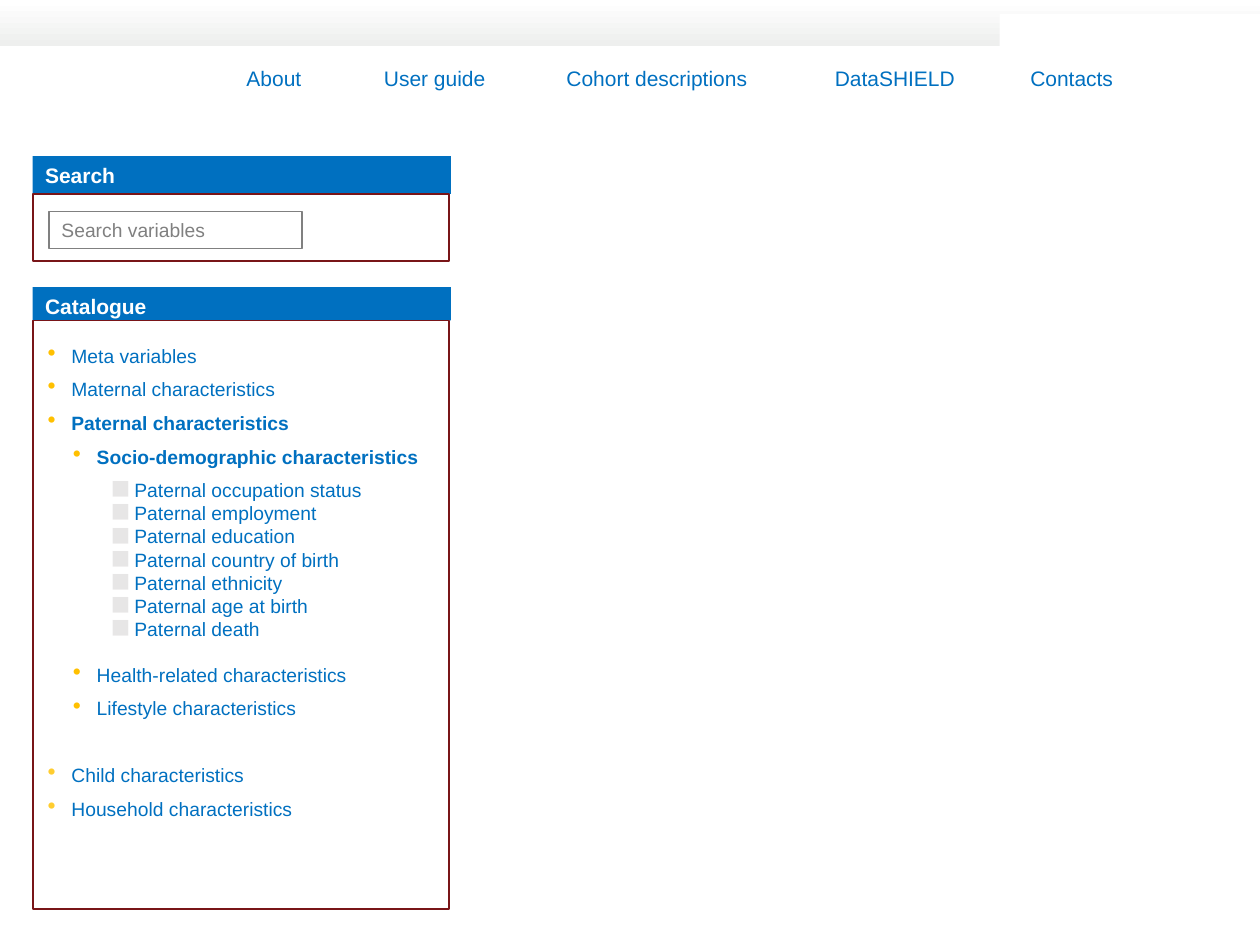
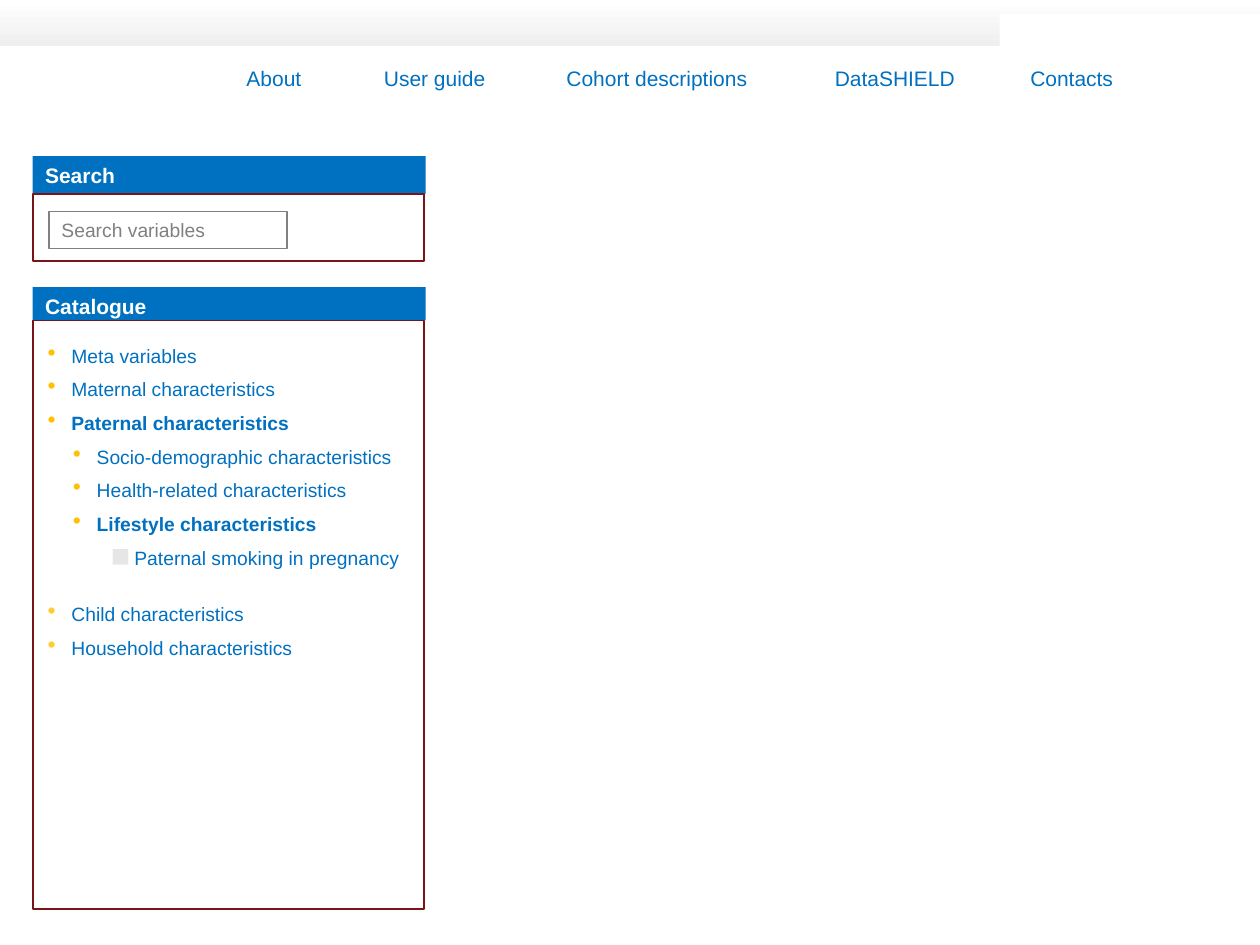
from lxml import etree
from pptx import Presentation
from pptx.dml.color import RGBColor
from pptx.enum.shapes import MSO_SHAPE
from pptx.enum.text import MSO_ANCHOR, PP_ALIGN
from pptx.oxml.ns import qn
from pptx.util import Cm, Pt

RECT, TOP_SIDE, LEFT_SIDE = MSO_SHAPE.RECTANGLE, MSO_ANCHOR.TOP, PP_ALIGN.LEFT
FONT = "Arial"
BLUE = RGBColor(0x00, 0x70, 0xC0)
WHITE = RGBColor(0xFF, 0xFF, 0xFF)
SILVER = RGBColor(0xEE, 0xEF, 0xEE)
MAROON = RGBColor(0x79, 0x15, 0x18)
GREY = RGBColor(0x80, 0x80, 0x80)
GOLD = RGBColor(0xFF, 0xC0, 0x00)
PALE_GOLD = RGBColor(0xFF, 0xCD, 0x2F)
PALE_GREY = RGBColor(0xE7, 0xE6, 0xE6)

MENU = ["About", "User guide", "Cohort descriptions", "DataSHIELD", "Contacts"]
MENU_TABS = [2.77, 6.45, 11.86, 15.8]

# level: indent in cm, space after in pt, bullet, bullet colour
LEVELS = {
    "top": (0.48, 6, "•", GOLD),
    "sub": (0.99, 6, "•", GOLD),
    "leaf": (1.75, 0, "◼", PALE_GREY),
    "end": (0.48, 6, "•", PALE_GOLD),
}
HANG = 0.48
SUB_GAP, TOP_GAP = 13, 19

# level, text, bold
HEAD = [
    ("top", "Meta variables", False),
    ("top", "Maternal characteristics", False),
    ("top", "Paternal characteristics", True),
]
TAIL = [
    ("end", "Child characteristics", False),
    ("end", "Household characteristics", False),
]
SOCIAL = [
    ("sub", "Socio-demographic characteristics", True),
    ("leaf", "Paternal occupation status", False),
    ("leaf", "Paternal employment", False),
    ("leaf", "Paternal education", False),
    ("leaf", "Paternal country of birth", False),
    ("leaf", "Paternal ethnicity", False),
    ("leaf", "Paternal age at birth", False),
    ("leaf", "Paternal death", False),
    ("sub", "Health-related characteristics", False),
    ("sub", "Lifestyle characteristics", False),
]
HABITS = [
    ("sub", "Socio-demographic characteristics", False),
    ("sub", "Health-related characteristics", False),
    ("sub", "Lifestyle characteristics", True),
    ("leaf", "Paternal smoking in pregnancy", False),
]
# open branch, panel width, search field width (cm)
PAGES = [(SOCIAL, 8.43, 5.1), (HABITS, 7.92, 4.8)]
LEFT = 0.66


def style(para, size, colour, bold=False):
    for run in para.runs:
        font = run.font
        font.name, font.size, font.bold = FONT, Pt(size), bold
        font.color.rgb = colour


def add_box(shapes, left, top, width, height, fill=None, line=None, weight=1):
    box = shapes.add_shape(RECT, Cm(left), Cm(top), Cm(width), Cm(height))
    box.shadow.inherit = False
    if fill is None:
        box.fill.background()
    else:
        box.fill.solid()
        box.fill.fore_color.rgb = fill
    if line is None:
        box.line.fill.background()
    else:
        box.line.color.rgb = line
        box.line.width = Pt(weight)
    return box


def label(box, text, size, colour, bold=False):
    frame = box.text_frame
    frame.vertical_anchor = TOP_SIDE
    frame.margin_bottom = 0
    frame.text = text
    para = frame.paragraphs[0]
    para.alignment = LEFT_SIDE
    style(para, size, colour, bold)


def add_panel(shapes, title, top, width, bar, body):
    """Blue title bar over a framed white body."""
    add_bar = add_box(shapes, LEFT, top, width, bar, BLUE)
    label(add_bar, title, 12, WHITE, True)
    add_box(shapes, LEFT, top + bar, width - 0.03, body, WHITE, MAROON)


def add_text(shapes, left, top, width, height):
    frame = shapes.add_textbox(Cm(left), Cm(top), Cm(width), Cm(height)).text_frame
    frame.word_wrap = True
    return frame


def add_banner(shapes):
    band = add_box(shapes, 0, 0, 25.4, 0.92, WHITE)
    band.fill.gradient()
    band.fill.gradient_angle = 270
    for stop, colour, place in zip(band.fill.gradient_stops, (WHITE, SILVER), (0, 1)):
        stop.color.rgb = colour
        stop.position = place
    add_box(shapes, 20.15, 0.28, 5.25, 1.63, WHITE)

    para = add_text(shapes, 4.72, 1.19, 19.28, 0.77).paragraphs[0]
    tabs = etree.SubElement(para._p.get_or_add_pPr(), qn("a:tabLst"))
    for place in MENU_TABS:
        etree.SubElement(tabs, qn("a:tab"), pos=str(Cm(place)), algn="l")
    para.text = "\t".join(MENU)
    style(para, 12, BLUE)


def set_bullet(para, indent, mark, colour):
    props = para._p.get_or_add_pPr()
    props.set("marL", str(Cm(indent)))
    props.set("indent", str(-Cm(HANG)))
    tint = etree.SubElement(props, qn("a:buClr"))
    etree.SubElement(tint, qn("a:srgbClr"), val=str(colour))
    etree.SubElement(props, qn("a:buSzPct"), val="125000")
    etree.SubElement(props, qn("a:buChar"), char=mark)


def add_tree(shapes, items, width):
    """Bulleted tree; a step back to an outer level opens a gap."""
    frame = add_text(shapes, 0.71, 6.81, width, 11.2)
    last = 0
    for num, (level, text, bold) in enumerate(items):
        indent, after, mark, colour = LEVELS[level]
        para = frame.add_paragraph() if num else frame.paragraphs[0]
        set_bullet(para, indent, mark, colour)
        para.text = text
        para.space_after = Pt(after)
        if indent < last:
            para.space_before = Pt(SUB_GAP if level == "sub" else TOP_GAP)
        style(para, 11, BLUE, bold)
        last = indent


def add_page(deck, branch, width, field):
    shapes = deck.slides.add_slide(deck.slide_layouts[6]).shapes
    add_banner(shapes)

    search = shapes.add_group_shape().shapes
    add_panel(search, "Search", 3.15, width, 0.76, 1.35)
    entry = add_box(search, 0.99, 4.27, field, 0.74, line=GREY, weight=0.75)
    label(entry, "Search variables", 11, GREY)

    index = shapes.add_group_shape().shapes
    add_panel(index, "Catalogue", 5.79, width, 0.67, 11.86)
    add_tree(index, HEAD + branch + TAIL, width - 0.3)


def main():
    deck = Presentation()
    deck.slide_width, deck.slide_height = Cm(25.4), Cm(19.05)
    for page in PAGES:
        add_page(deck, *page)
    deck.save("out.pptx")


if __name__ == "__main__":
    main()
